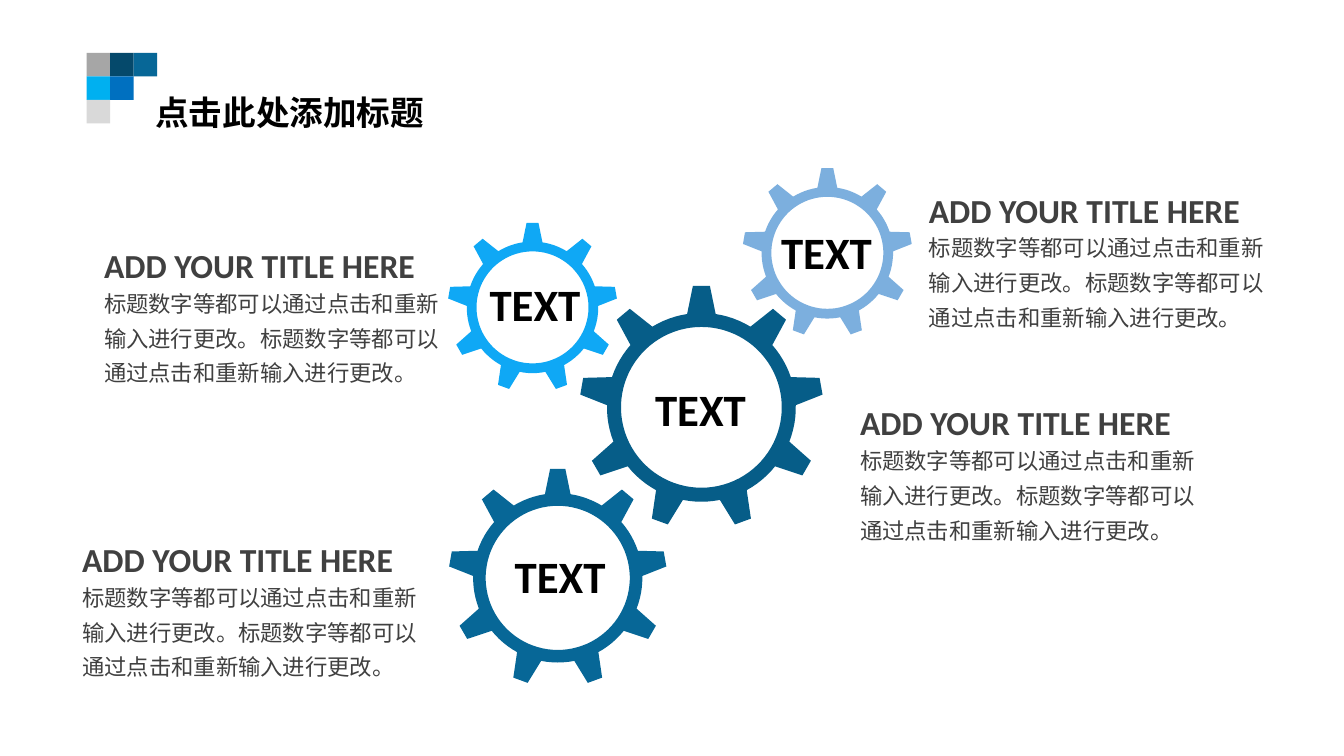
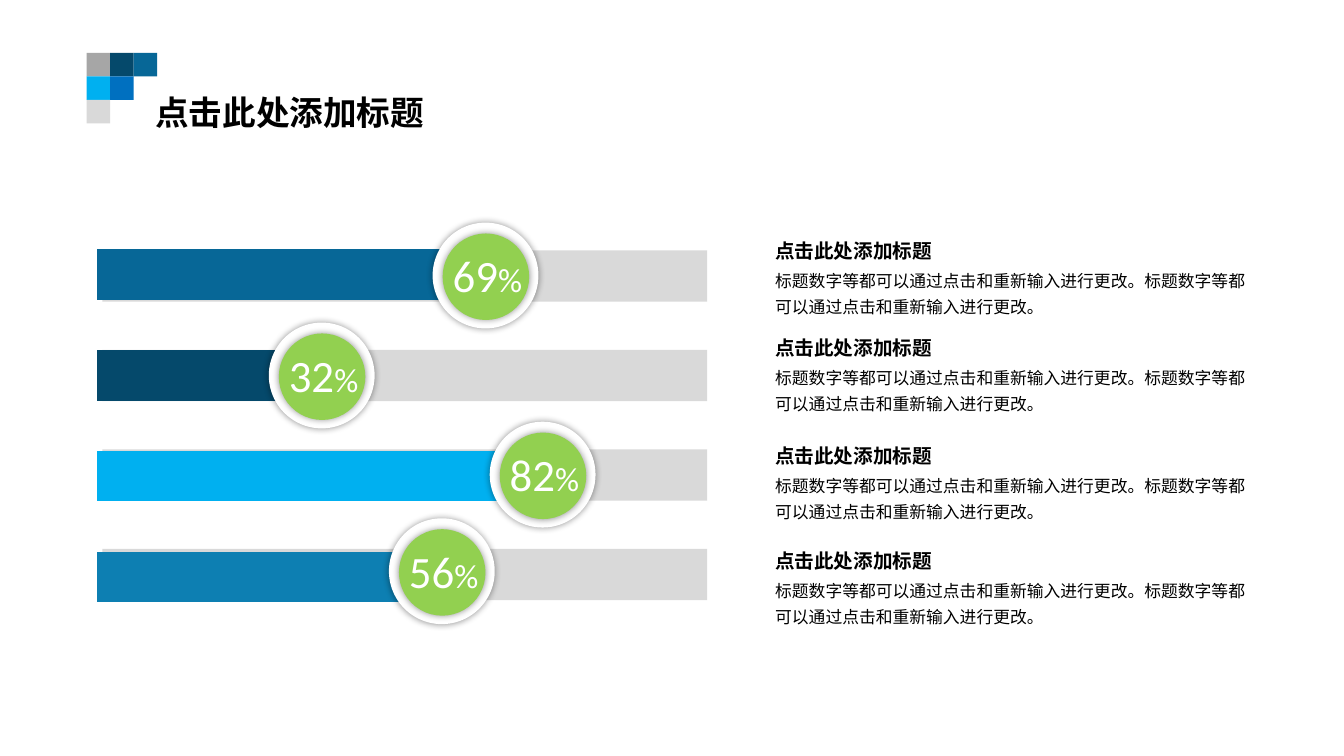
import math

from lxml import etree
from pptx import Presentation
from pptx import util as u
from pptx.chart.data import CategoryChartData
from pptx.dml.color import RGBColor
from pptx.enum import chart as ch, shapes, text
from pptx.oxml import ns, parse_xml

# The slide is a grid of 160 columns by 90 rows of square cells.
COLS, ROWS, CELLS_PER_INCH = 160, 90, 12

COLORS = {
    "black": "000000", "white": "FFFFFF", "text": "404040",
    "gray": "A6A6A6", "light": "D9D9D9", "navy": "05496B",
    "teal": "076797", "deep": "065D88", "cyan": "00B0F0",
    "blue": "0070C0", "sky": "0FA8F5", "pale": "7CAFDE",
    "ocean": "0D7FB2", "green": "92D050",
}
LATIN, CJK = "Calibri", "Noto Sans CJK SC"
TITLE = "点击此处添加标题"
HEADING = "ADD YOUR TITLE HERE"
BODY = "标题数字等都可以通过点击和重新输入进行更改。" * 2

SQUARE = 2.8
SQUARES = [["gray", "navy", "teal"], ["cyan", "blue"], ["light"]]

# centre x, centre y, radius at the tooth tips, colour, label x, label y
GEARS = [
    (98.5, 30.1, 10.1, "pale", 91.8, 26.2),
    (83.5, 48.5, 14.5, "deep", 76.8, 44.8),
    (63.4, 36.6, 10.1, "sky", 57.1, 32.3),
    (66.4, 68.8, 13, "teal", 60.1, 64.7),
]
TEETH, HOLE, RIM = 9, 0.66, 0.775
TIP_ANGLE, ROOT_ANGLE = 4, 8.7
GEAR_NOTES = [(109.4, 22), (101.2, 47.3), (8.6, 63.6), (11.2, 28.6)]

# percentage, knob x, knob y
KNOBS = [("69", 51.5, 26.5), ("32", 32, 38.4),
         ("82", 58.3, 50.2), ("56", 46.3, 61.7)]
# bars from bottom to top
BARS = [(75, "ocean"), (100, "cyan"), (50, "navy"), (88, "teal")]
BAR_NOTES = [27.8, 39.4, 52.2, 64.7]


def cells(*values):
    return [u.Inches(v / CELLS_PER_INCH) for v in values]


def rgb(name):
    return RGBColor.from_string(COLORS[name])


def paint(sp, color):
    sp.shadow.inherit = False
    sp.fill.solid()
    sp.fill.fore_color.rgb = rgb(color)
    sp.line.fill.background()


def add_block(s, kind, x, y, w, h, color):
    sp = s.shapes.add_shape(kind, *cells(x, y, w, h))
    paint(sp, color)
    return sp


def add_text(s, box, runs, font=LATIN, color="black", bold=False, spacing=None):
    """Add one paragraph; runs is a list of (text, size) pairs."""
    tf = s.shapes.add_textbox(*cells(*box)).text_frame
    tf.word_wrap = True
    tf.auto_size = text.MSO_AUTO_SIZE.SHAPE_TO_FIT_TEXT
    p = tf.paragraphs[0]
    if spacing:
        p.line_spacing = spacing
    for words, size in runs:
        r = p.add_run()
        r.text = words
        r.font.size = u.Pt(size)
        r.font.bold = bold
        r.font.color.rgb = rgb(color)
        r.font.name = font
        ea = etree.SubElement(r.font._element, ns.qn("a:ea"))
        ea.set("typeface", font)


def add_note(s, x, y, heading, body_y, body_size, font, color, sizes):
    """Add a bold heading with the body text below it."""
    words, size = heading
    head_box, body_box = sizes
    add_text(s, (x, y, *head_box), [(words, size)], font, color, bold=True)
    add_text(s, (x, y + body_y, *body_box), [(BODY, body_size)], CJK, color,
             spacing=1.3)


def new_slide(prs):
    """Add a slide with the corner mosaic and the title."""
    s = prs.slides.add_slide(prs.slide_layouts[6])
    for row, names in enumerate(SQUARES):
        for col, name in enumerate(names):
            add_block(s, shapes.MSO_SHAPE.RECTANGLE, 10.3 + col * SQUARE,
                      6.3 + row * SQUARE, SQUARE, SQUARE, name)
    add_text(s, (17.3, 10.3, 37.4, 6), [(TITLE, 24)], CJK, bold=True)
    return s


def add_gear(s, cx, cy, radius, color):
    def at(degrees, share):
        a = math.radians(degrees)
        return cells(cx + radius * share * math.sin(a),
                     cy - radius * share * math.cos(a))

    pitch = 360 / TEETH
    outline = []
    for tooth in range(TEETH):
        mid = tooth * pitch
        outline += [at(mid - ROOT_ANGLE, RIM), at(mid - TIP_ANGLE, 1),
                    at(mid + TIP_ANGLE, 1)]
        valley = pitch - 2 * ROOT_ANGLE
        outline += [at(mid + ROOT_ANGLE + valley * i / 6, RIM)
                    for i in range(6)]
    hole = [at(-a, HOLE) for a in range(0, 360, 4)]

    builder = s.shapes.build_freeform(*outline[0], scale=1.0)
    builder.add_line_segments(outline[1:], close=True)
    builder.move_to(*hole[0])
    builder.add_line_segments(hole[1:], close=True)
    paint(builder.convert_to_shape(), color)


def add_glow(sp):
    """Give a shape a soft shadow on all sides."""
    effects = sp._element.spPr.find(ns.qn("a:effectLst"))
    effects.append(parse_xml(
        f'<a:outerShdw {ns.nsdecls("a")} blurRad="{u.Pt(5)}" dist="0" '
        f'algn="ctr" rotWithShape="0"><a:srgbClr val="{COLORS["black"]}">'
        '<a:alpha val="40000"/></a:srgbClr></a:outerShdw>'))


def add_knob(s, percent, x, y):
    oval = shapes.MSO_SHAPE.OVAL
    add_glow(add_block(s, oval, x, y, 12.6, 12.6, "white"))
    add_glow(add_block(s, oval, x + 1.2, y + 1.3, 10.3, 10.3, "green"))
    add_text(s, (x + 1.2, y + 2.4, 11.4, 7.7), [(percent, 32), ("%", 24)],
             color="white")


def add_bars(s):
    data = CategoryChartData()
    data.categories = ["1"]
    for i, (value, _) in enumerate(BARS, 1):
        data.add_series(f"Series {i}", [value])
    chart = s.shapes.add_chart(ch.XL_CHART_TYPE.BAR_CLUSTERED,
                               *cells(10.3, 13.2, 63.7, 75), data).chart
    chart.has_title = chart.has_legend = False
    chart.font.name, chart.font.size = LATIN, u.Pt(10)
    chart.font.color.rgb = rgb("black")
    for axis in (chart.category_axis, chart.value_axis):
        axis.visible = axis.has_major_gridlines = False
    chart.value_axis.minimum_scale = 0
    chart.value_axis.maximum_scale = 120
    plot = chart.plots[0]
    plot.vary_by_categories = False
    plot.gap_width, plot.overlap = 500, -100
    for series, (_, color) in zip(plot.series, BARS):
        series.format.fill.solid()
        series.format.fill.fore_color.rgb = rgb(color)
    clear = parse_xml(f'<c:spPr {ns.nsdecls("c", "a")}><a:noFill/>'
                      '<a:ln><a:noFill/></a:ln></c:spPr>')
    chart._chartSpace.find(ns.qn("c:chart")).addnext(clear)


def gears_slide(prs):
    s = new_slide(prs)
    for cx, cy, radius, color, label_x, label_y in GEARS:
        add_gear(s, cx, cy, radius, color)
        add_text(s, (label_x, label_y, 15, 7.7), [("TEXT", 32)], bold=True)
    for x, y in GEAR_NOTES:
        add_note(s, x, y, (HEADING, 24), 4.35, 16, LATIN, "text",
                 ((48.6, 6), (42.6, 18)))


def progress_slide(prs):
    s = new_slide(prs)
    for row in range(len(BARS)):
        add_block(s, shapes.MSO_SHAPE.RECTANGLE, 12.2, 29.8 + row * 11.85,
                  72, 6.1, "light")
    add_bars(s)
    for knob in KNOBS:
        add_knob(s, *knob)
    for y in BAR_NOTES:
        add_note(s, 91.1, y, (TITLE, 14), 3.1, 12, CJK, "black",
                 ((22.3, 4.1), (60.1, 10.7)))


def main():
    prs = Presentation()
    prs.slide_width, prs.slide_height = cells(COLS, ROWS)
    gears_slide(prs)
    progress_slide(prs)
    prs.save("out.pptx")


if __name__ == "__main__":
    main()
